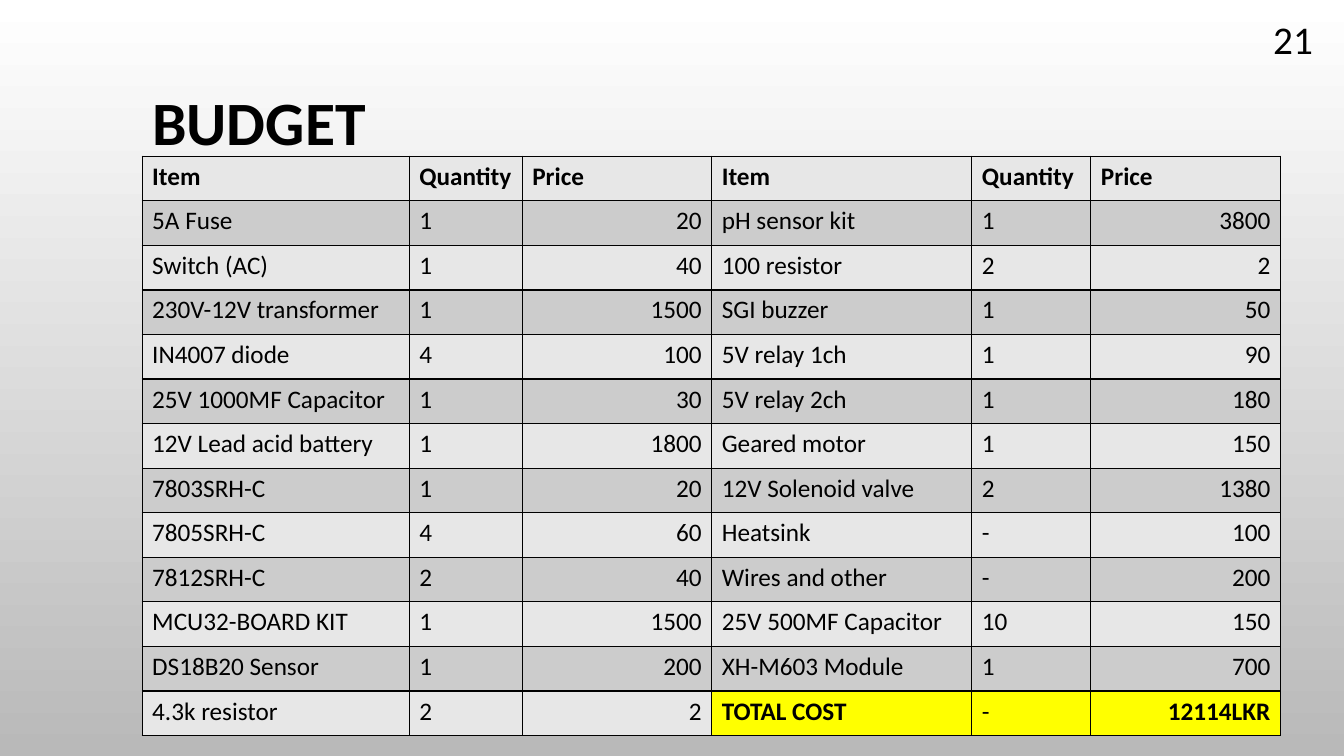
from lxml import etree
from pptx import Presentation
from pptx.dml.color import RGBColor
from pptx.enum.text import MSO_ANCHOR, MSO_AUTO_SIZE, PP_ALIGN
from pptx.oxml.ns import qn
from pptx.util import Inches, Pt

LEFT, RIGHT = PP_ALIGN.LEFT, PP_ALIGN.RIGHT
MIDDLE = MSO_ANCHOR.MIDDLE
NO_FIT = MSO_AUTO_SIZE.NONE

FONT = "Calibri"
BLACK, LIGHT, DARK, YELLOW = "000000", "E7E7E7", "CCCCCC", "FFFF00"
BACKGROUND = ["FFFFFF", "B9B9B9"]

TITLE = "BUDGET"
PAGE = "21"
COL_WIDTHS = [2.65, 1.12, 1.88, 2.58, 1.18, 1.88]
TABLE_HEIGHT = 5.75
PRICE_COLS = (2, 5)
BUDGET = [
    ("Item", "Quantity", "Price", "Item", "Quantity", "Price"),
    ("5A Fuse", "1", "20", "pH sensor kit", "1", "3800"),
    ("Switch (AC)", "1", "40", "100 resistor", "2", "2"),
    ("230V-12V transformer", "1", "1500", "SGI buzzer", "1", "50"),
    ("IN4007 diode", "4", "100", "5V relay 1ch", "1", "90"),
    ("25V 1000MF Capacitor", "1", "30", "5V relay 2ch", "1", "180"),
    ("12V Lead acid battery", "1", "1800", "Geared motor", "1", "150"),
    ("7803SRH-C", "1", "20", "12V Solenoid valve", "2", "1380"),
    ("7805SRH-C", "4", "60", "Heatsink", "-", "100"),
    ("7812SRH-C", "2", "40", "Wires and other", "-", "200"),
    ("MCU32-BOARD KIT", "1", "1500", "25V 500MF Capacitor", "10", "150"),
    ("DS18B20 Sensor", "1", "200", "XH-M603 Module", "1", "700"),
    ("4.3k resistor", "2", "2", "TOTAL COST", "-", "12114LKR"),
]


def rgb(color):
    return RGBColor.from_string(color)


def write(tf, text, size=18, bold=False, align=LEFT, spacing=None):
    p = tf.paragraphs[0]
    p.alignment = align
    p.line_spacing = spacing
    r = p.add_run()
    r.text = text
    r.font.name = FONT
    r.font.size = Pt(size)
    r.font.bold = bold
    r.font.color.rgb = rgb(BLACK)


def add_borders(cell):
    tcPr = cell._tc.get_or_add_tcPr()
    for side in ("lnL", "lnR", "lnT", "lnB"):
        ln = etree.SubElement(tcPr, qn(f"a:{side}"), w=str(Pt(1)))
        fill = etree.SubElement(ln, qn("a:solidFill"))
        etree.SubElement(fill, qn("a:srgbClr"), val=BLACK)


def add_budget_table(slide):
    rows, cols = len(BUDGET), len(COL_WIDTHS)
    table = slide.shapes.add_table(
        rows, cols, Inches(1.41), Inches(1.55),
        Inches(sum(COL_WIDTHS)), Inches(TABLE_HEIGHT)).table
    for col, width in zip(table.columns, COL_WIDTHS):
        col.width = Inches(width)
    for i, values in enumerate(BUDGET):
        table.rows[i].height = Inches(TABLE_HEIGHT / rows)
        for j, text in enumerate(values):
            cell = table.cell(i, j)
            header = i == 0
            total = i == rows - 1 and j >= cols // 2
            add_borders(cell)
            cell.fill.solid()
            cell.fill.fore_color.rgb = rgb(YELLOW if total else DARK if i % 2 else LIGHT)
            if header:
                cell.margin_right = Inches(0.05)
            write(cell.text_frame, text,
                  bold=header or (total and text != "-"),
                  align=RIGHT if j in PRICE_COLS and not header else LEFT)


def main():
    prs = Presentation()
    prs.slide_width, prs.slide_height = Inches(13.33), Inches(7.5)
    slide = prs.slides.add_slide(prs.slide_layouts[5])

    fill = slide.background.fill
    fill.gradient()
    fill.gradient_angle = 270
    for stop, color in zip(fill.gradient_stops, BACKGROUND):
        stop.color.rgb = rgb(color)

    title = slide.shapes.title
    title.left, title.top = Inches(1.41), Inches(0.59)
    title.width, title.height = Inches(9.5), Inches(1.31)
    tf = title.text_frame
    tf.auto_size = NO_FIT
    tf.vertical_anchor = MIDDLE
    write(tf, TITLE, size=44, bold=True, spacing=0.9)

    add_budget_table(slide)

    sp = slide.shapes.add_textbox(Inches(12.28), Inches(0.19), Inches(0.84), Inches(0.4))
    tf = sp.text_frame
    tf.word_wrap = True
    tf.vertical_anchor = MIDDLE
    write(tf, PAGE, size=28, align=RIGHT)

    prs.save("out.pptx")


if __name__ == "__main__":
    main()
